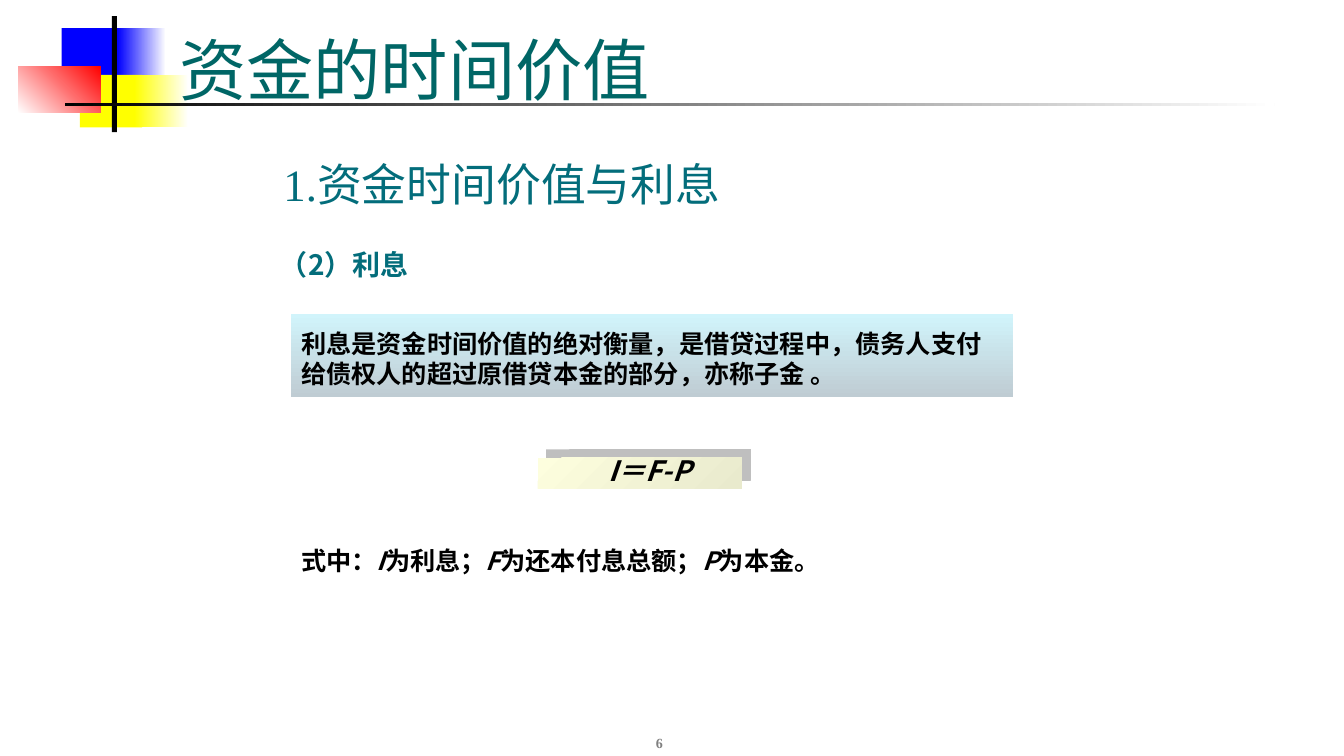
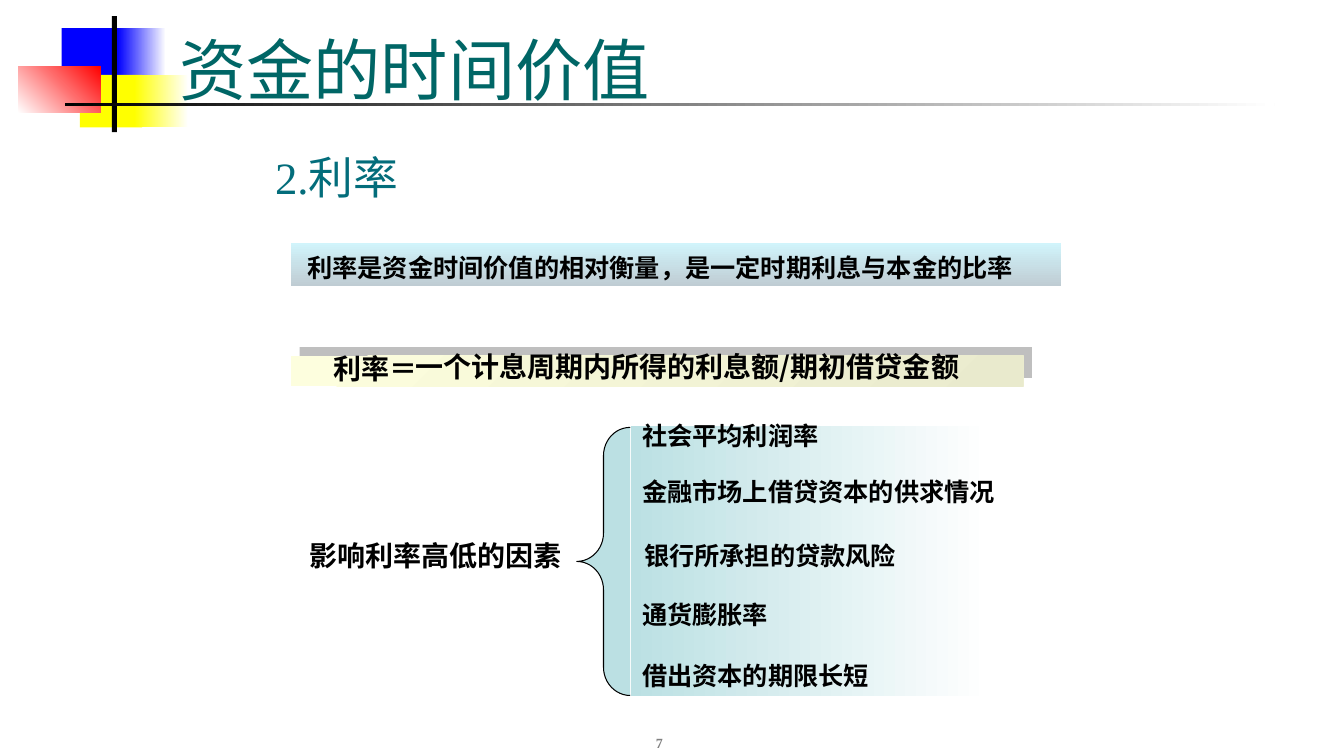
from lxml.etree import SubElement
from pptx import Presentation
from pptx.dml.color import RGBColor
from pptx.enum.shapes import MSO_SHAPE as SHAPE
from pptx.enum.text import MSO_ANCHOR as ANCHOR, PP_ALIGN as ALIGN
from pptx.oxml.ns import qn
from pptx.util import Pt

SERIF = "Times New Roman"
SANS = "Noto Sans CJK SC"
TITLE_COLOR, HEADING_COLOR, PAGE_COLOR = "006666", "036D7B", "808080"
BLACK, WHITE, BLUE, YELLOW, RED = "000000", "FFFFFF", "0000FF", "FFFF00", "FF0000"
PALE_TEAL = "BBE0E3"
DEFINITION_FILL = ("D1F4FB", "BFCCD3", 90)
FORMULA_FILL = ("FDFEDE", "E9EACD", 45)
INSETS = (7.2, 3.6, 7.2, 3.6)
NO_INSETS = (0, 0, 0, 0)


def rgb(color):
    return RGBColor.from_string(color)


class Deck:
    """Holds the shared style and the slide being built."""

    def __init__(self):
        self.prs = Presentation()
        self.prs.slide_width, self.prs.slide_height = Pt(960), Pt(540)
        self.slide = None

    # Basic elements
    def shape(self, x, y, w, h, fill=None, line=None, line_width=0.75, kind=SHAPE.RECTANGLE):
        """fill is a hex colour or (start, end, clockwise angle)."""
        s = self.slide.shapes.add_shape(kind, Pt(x), Pt(y), Pt(w), Pt(h))
        s.shadow.inherit = False
        if fill is None:
            s.fill.background()
        elif isinstance(fill, str):
            s.fill.solid()
            s.fill.fore_color.rgb = rgb(fill)
        else:
            start, end, angle = fill
            s.fill.gradient()
            s.fill.gradient_angle = (360 - angle) % 360
            for stop, color, position in zip(s.fill.gradient_stops, (start, end), (0, 1)):
                stop.color.rgb = rgb(color)
                stop.position = position
        if line:
            s.line.color.rgb = rgb(line)
            s.line.width = Pt(line_width)
        else:
            s.line.fill.background()
        return s

    def set_text(self, s, text, size, color=BLACK, font=SANS, bold=True, italic=False,
                 align=ALIGN.LEFT, anchor=ANCHOR.TOP, insets=INSETS):
        """text is a string or a list of (string, italic) runs."""
        tf = s.text_frame
        tf.word_wrap = True
        tf.vertical_anchor = anchor
        tf.margin_left, tf.margin_top, tf.margin_right, tf.margin_bottom = map(Pt, insets)
        p = tf.paragraphs[0]
        p.alignment = align
        p.font.size, p.font.bold, p.font.name = Pt(size), bold, font
        p.font.color.rgb = rgb(color)
        SubElement(p._p.pPr.find(qn("a:defRPr")), qn("a:ea"), typeface=SANS)
        if isinstance(text, str):
            p.font.italic = italic
            text = [(text, None)]
        for part, slanted in text:
            r = p.add_run()
            r.text = part
            if slanted:
                r.font.italic = True

    def text(self, x, y, w, h, text, size, **style):
        s = self.slide.shapes.add_textbox(Pt(x), Pt(y), Pt(w), Pt(h))
        self.set_text(s, text, size, **style)

    # Parts every slide shares
    def new_slide(self, title, page):
        self.slide = self.prs.slides.add_slide(self.prs.slide_layouts[6])
        for x, y, w, h, fill in (
            (44, 20, 46, 37.5, BLUE),
            (84, 20, 34.5, 37.5, (BLUE, WHITE, 0)),
            (57, 53.5, 44.5, 37.5, YELLOW),
            (96, 53.5, 38.5, 37.5, (YELLOW, WHITE, 0)),
            (13, 47.5, 59, 33, (WHITE, RED, 315)),
            (80, 11.5, 3.5, 83, BLACK),
            (46.5, 73.5, 864, 2.2, (BLACK, WHITE, 0)),
        ):
            self.shape(x, y, w, h, fill)
        self.text(371, 504, 200, 36, str(page), 10, color=PAGE_COLOR, font=SERIF,
                  align=ALIGN.CENTER, anchor=ANCHOR.BOTTOM)
        self.text(121, 12, 818, 66, title, 48, color=TITLE_COLOR, font=SERIF, bold=False,
                  anchor=ANCHOR.BOTTOM, insets=(7.2, 3.6, 7.2, 0))

    # Content elements
    def heading(self, x, y, text):
        self.text(x, y, 332, 46, text, 32, color=HEADING_COLOR, font=SERIF, bold=False,
                  insets=NO_INSETS)

    def definition(self, y, w, h, text, indent=7.2):
        s = self.shape(208, y, w, h, DEFINITION_FILL)
        self.set_text(s, text, 18, font=SERIF, anchor=ANCHOR.MIDDLE,
                      insets=(indent, 5.4, 7.2, 1.8))

    def formula_bar(self, x, y, w):
        s = self.shape(x, y, w, 22, FORMULA_FILL)
        effects = s._element.spPr.find(qn("a:effectLst"))
        shadow = SubElement(effects, qn("a:outerShdw"), dist=str(Pt(8.5)),
                            dir=str(315 * 60000), algn="ctr", rotWithShape="0")
        color = SubElement(shadow, qn("a:srgbClr"), val="808080")
        SubElement(color, qn("a:alpha"), val="50000")

    def formula(self, x, y, w, text, **style):
        self.text(x, y, w, 24, text, 20, anchor=ANCHOR.MIDDLE, insets=NO_INSETS, **style)


def interest_slide(deck):
    deck.new_slide("资金的时间价值", 6)
    deck.heading(202.5, 112, "1.资金时间价值与利息")
    deck.text(200, 177, 332, 29, "（2）利息", 20, color=HEADING_COLOR, insets=NO_INSETS)
    deck.definition(224.5, 515.5, 59, "利息是资金时间价值的绝对衡量，是借贷过程中，"
                    "债务人支付给债权人的超过原借贷本金的部分，亦称子金 。")
    deck.formula_bar(384, 327, 146)
    deck.formula(396, 323.7, 136, "I＝F-P", italic=True, align=ALIGN.CENTER)
    deck.text(208, 386.3, 457, 33, [
        ("式中：", False), ("I", True), ("为利息；", False), ("F", True),
        ("为还本付息总额；", False), ("P", True), ("为本金。", False)], 18)


def rate_slide(deck):
    deck.new_slide("资金的时间价值", 7)
    deck.heading(196.5, 107, "2.利率")
    deck.definition(173.5, 550, 31, "利率是资金时间价值的相对衡量，是一定时期利息与本金的比率",
                    indent=11.5)
    deck.formula_bar(208, 254, 523)
    deck.formula(238.3, 250.8, 66, "利率＝")
    deck.formula(296.6, 249.8, 480, "一个计息周期内所得的利息额/期初借贷金额")

    # Factors gathered by a brace
    s = deck.shape(209, 380.8, 204, 32, line=WHITE, line_width=1)
    deck.set_text(s, "影响利率高低的因素", 20, align=ALIGN.CENTER, anchor=ANCHOR.MIDDLE)
    deck.shape(450.5, 304.5, 256.5, 193, (PALE_TEAL, WHITE, 0))
    brace = deck.shape(412, 305.3, 38.2, 191.5, PALE_TEAL, BLACK, kind=SHAPE.LEFT_BRACE)
    brace.adjustments[0], brace.adjustments[1] = 0.53, 0.5
    for x, y, factor in (
        (451.5, 296.6, "社会平均利润率"),
        (451.5, 336.6, "金融市场上借贷资本的供求情况"),
        (453, 382.3, "银行所承担的贷款风险"),
        (451.5, 424.4, "通货膨胀率"),
        (451.5, 468, "借出资本的期限长短"),
    ):
        deck.text(x, y, 284, 33, factor, 18, font=SERIF)


def main():
    deck = Deck()
    interest_slide(deck)
    rate_slide(deck)
    deck.prs.save("out.pptx")


if __name__ == "__main__":
    main()
